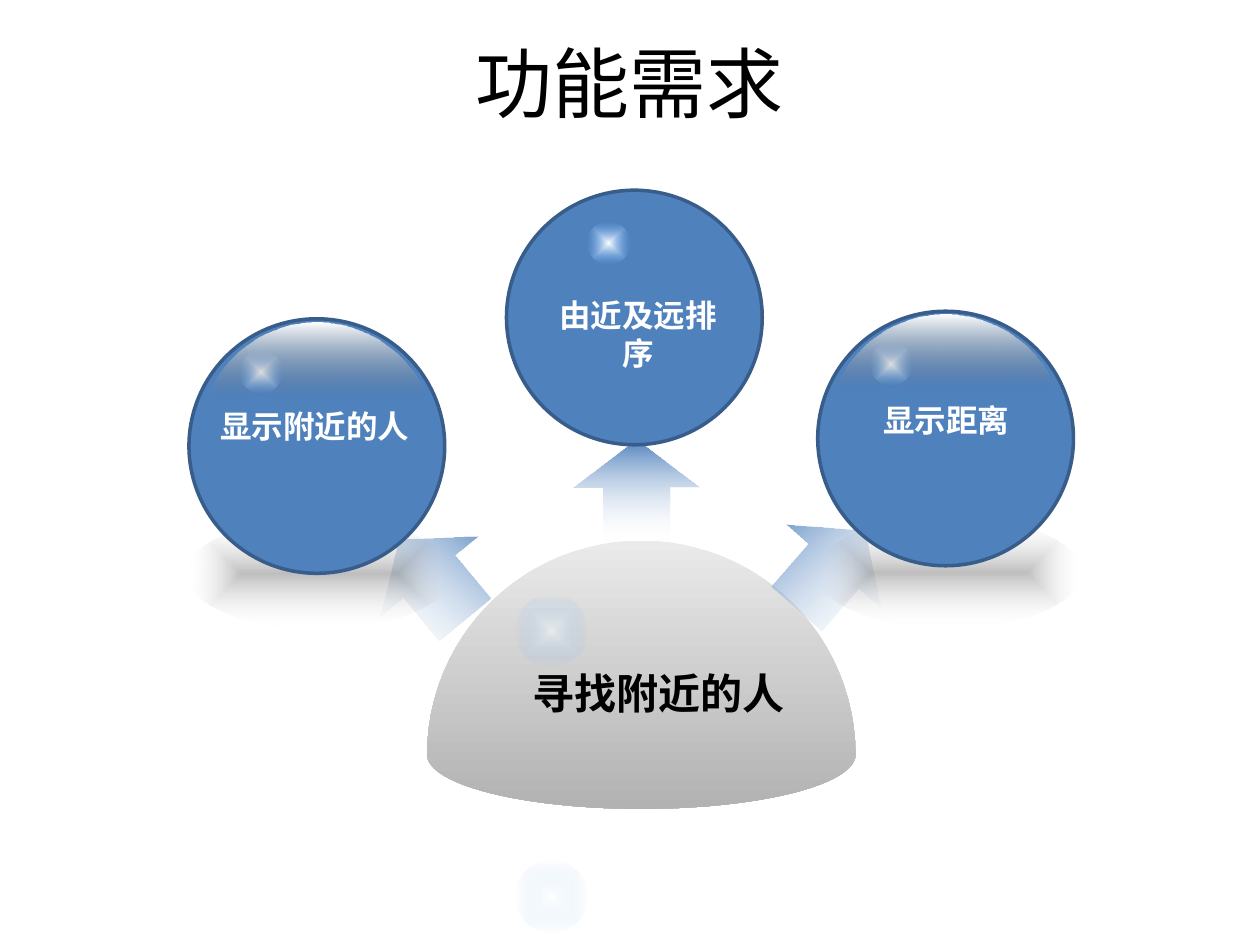
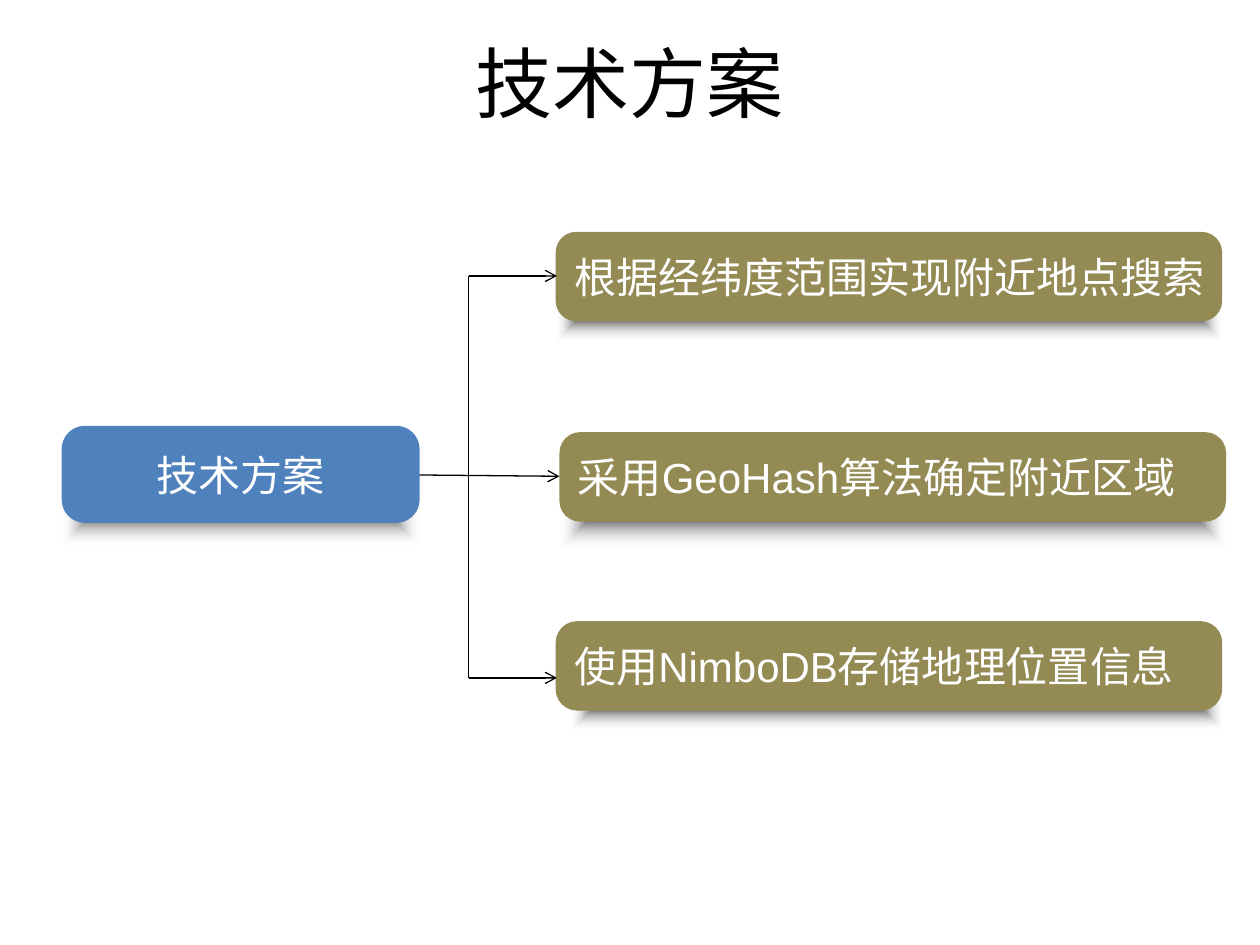
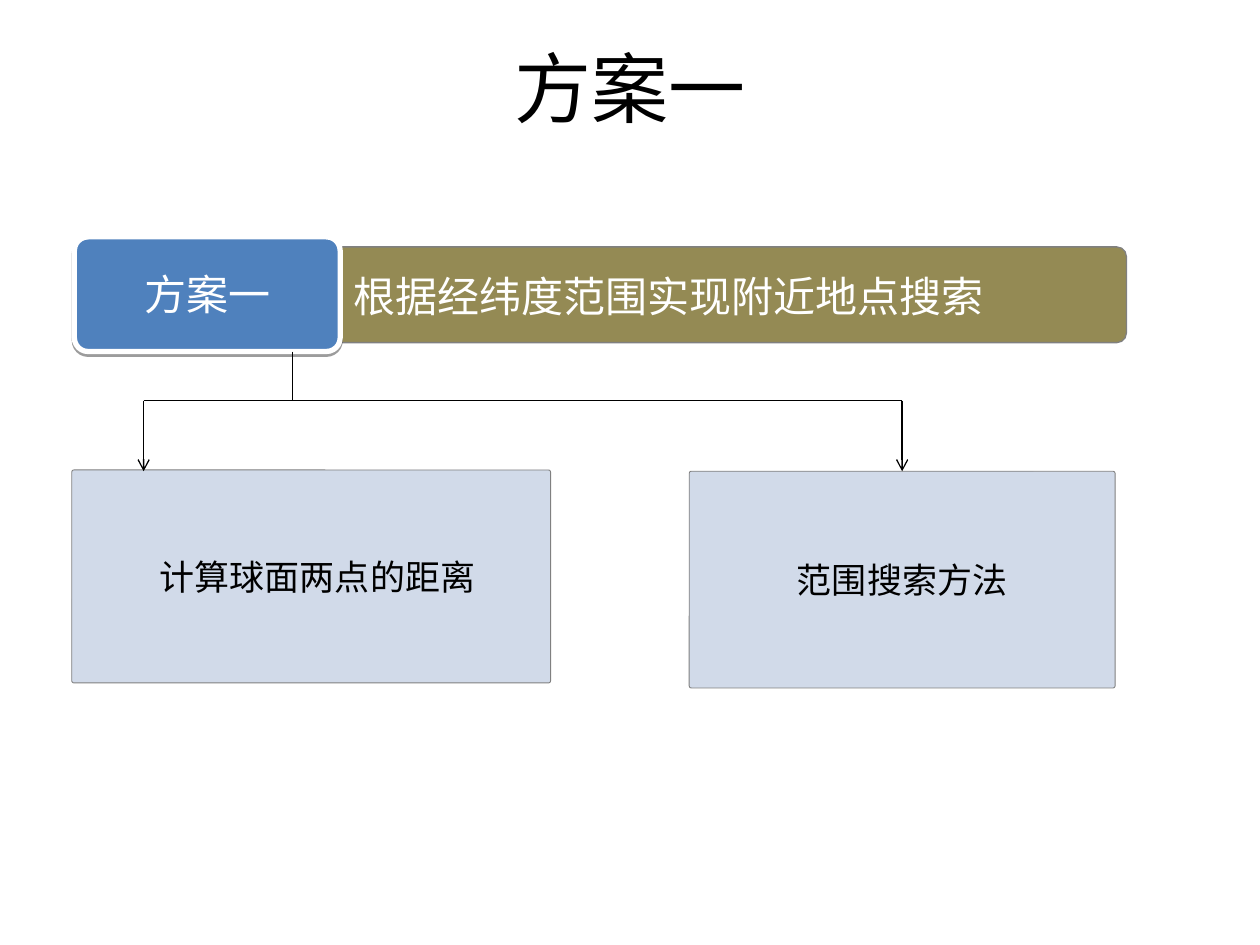
from dataclasses import dataclass
from math import asin, cos, pi, sin
from typing import NamedTuple, Optional, Union

from lxml import etree
from pptx import Presentation
from pptx.dml.color import RGBColor
from pptx.enum.shapes import MSO_CONNECTOR, MSO_SHAPE
from pptx.enum.text import MSO_ANCHOR, MSO_AUTO_SIZE, PP_ALIGN
from pptx.oxml import parse_xml
from pptx.oxml.ns import nsdecls, qn
from pptx.util import Inches, Pt

LEFT, MID = PP_ALIGN.LEFT, PP_ALIGN.CENTER
TOP, CENTER = MSO_ANCHOR.TOP, MSO_ANCHOR.MIDDLE
OVAL, RECT = MSO_SHAPE.OVAL, MSO_SHAPE.RECTANGLE
ROUND, ARROW = MSO_SHAPE.ROUNDED_RECTANGLE, MSO_SHAPE.UP_ARROW
LINE = MSO_CONNECTOR.STRAIGHT

HEX = {
    "black": "000000", "white": "FFFFFF", "blue": "4F81BD", "navy": "385D8A",
    "olive": "948A54", "pale": "D1DAE9", "gray": "808080", "glow": "67ABF5",
    "light": "EAEAEA", "steel": "B2B2B2", "dim": "767676",
}
CJK = "Noto Sans CJK SC"


class Box(NamedTuple):
    x: float
    y: float
    w: float
    h: float


class Grad(NamedTuple):
    """Two colours with opacity in percent; no angle means from the centre."""
    first: str
    near: int
    last: str
    far: int
    angle: Optional[int] = None


class Style(NamedTuple):
    size: int
    color: str
    font: str = CJK
    bold: bool = False
    align: PP_ALIGN = MID


class Edge(NamedTuple):
    color: str
    width: float


@dataclass
class Orb:
    x: float
    y: float
    text: str
    label: Box
    spark: float
    floor: Optional[Box] = None


@dataclass
class Card:
    box: Box
    text: str
    fill: str
    round: float
    align: PP_ALIGN
    shade: Box


SHADE = Grad("black", 85, "white", 0)
FLOOR = Grad("black", 25, "white", 0)
GLOSS = Grad("white", 100, "dim", 0, 90)
DOME = Grad("light", 100, "steel", 100, 90)
HEAD = Style(44, "black", "Arial")
ITEM = Style(24, "white", "Arial", align=LEFT)
ORB = Style(18, "white", bold=True)


def place(box: Box) -> list:
    return [Inches(v) for v in box]


def rgb(name: str) -> RGBColor:
    return RGBColor.from_string(HEX[name])


def blend(shape, grad: Grad) -> None:
    """Put a gradient where the shape's fill is."""
    stops = "".join(
        f'<a:gs pos="{pos}"><a:srgbClr val="{HEX[name]}">'
        f'<a:alpha val="{alpha * 1000}"/></a:srgbClr></a:gs>'
        for pos, name, alpha in ((0, grad.first, grad.near),
                                 (100000, grad.last, grad.far)))
    if grad.angle is None:
        way = ('<a:path path="rect"><a:fillToRect l="50000" t="50000" '
               'r="50000" b="50000"/></a:path>')
    else:
        way = f'<a:lin ang="{grad.angle * 60000}" scaled="0"/>'
    shape.fill.background()
    props = shape._element.spPr
    props.replace(props.find(qn("a:noFill")), parse_xml(
        f'<a:gradFill {nsdecls("a")} rotWithShape="1">'
        f'<a:gsLst>{stops}</a:gsLst>{way}</a:gradFill>'))


def paint(shape, fill: Union[str, Grad], edge: Optional[Edge] = None) -> None:
    shape.shadow.inherit = False
    if isinstance(fill, Grad):
        blend(shape, fill)
    else:
        shape.fill.solid()
        shape.fill.fore_color.rgb = rgb(fill)
    if edge:
        shape.line.color.rgb = rgb(edge.color)
        shape.line.width = Pt(edge.width)
    else:
        shape.line.fill.background()


def draw(slide, kind, box: Box, fill: Union[str, Grad],
         edge: Optional[Edge] = None, adj: tuple = ()):
    shape = slide.shapes.add_shape(kind, *place(box))
    for i, value in enumerate(adj):
        shape.adjustments[i] = value
    paint(shape, fill, edge)
    return shape


def write(shape, text: str, style: Style, anchor=CENTER,
          wrap: bool = False) -> None:
    frame = shape.text_frame
    frame.text = text
    frame.auto_size = MSO_AUTO_SIZE.NONE
    frame.word_wrap = wrap
    frame.vertical_anchor = anchor
    para = frame.paragraphs[0]
    para.alignment = style.align
    font = para.font
    font.size, font.bold, font.name = Pt(style.size), style.bold, style.font
    font.color.rgb = rgb(style.color)
    base = para._p.pPr.find(qn("a:defRPr"))
    etree.SubElement(base, qn("a:ea")).set("typeface", CJK)


def label(slide, box: Box, text: str, style: Style, anchor=TOP) -> None:
    write(slide.shapes.add_textbox(*place(box)), text, style, anchor, True)


def trace(slide, points: list, fill: Grad) -> None:
    """Fill the closed outline through the points."""
    path = [(Inches(x), Inches(y)) for x, y in points]
    pen = slide.shapes.build_freeform(*path[0])
    pen.add_line_segments(path[1:], close=True)
    paint(pen.convert_to_shape(), fill)


def arc(x: float, y: float, rx: float, ry: float, start: float,
        end: float, steps: int = 48) -> list:
    turns = [start + (end - start) * i / steps for i in range(steps + 1)]
    return [(x + rx * cos(t), y + ry * sin(t)) for t in turns]


def link(slide, x1: float, y1: float, x2: float, y2: float,
         tip: bool = False) -> None:
    line = slide.shapes.add_connector(
        LINE, Inches(x1), Inches(y1), Inches(x2), Inches(y2))
    line.line.color.rgb = rgb("black")
    line.line.width = Pt(0.75)
    props = line._element.spPr
    if tip:
        end = etree.SubElement(props.find(qn("a:ln")), qn("a:tailEnd"))
        end.set("type", "arrow")
    etree.SubElement(props, qn("a:effectLst"))


def start(deck, text: str, high: float = 0.69):
    slide = deck.slides.add_slide(deck.slide_layouts[5])
    title = slide.shapes.title
    title.left, title.top, title.width, title.height = place(
        Box(0.5, 0.3, 9, high))
    write(title, text, HEAD, wrap=True)
    return slide


def ball(slide, orb: Orb) -> None:
    wide, high = 2.03, 2.02
    if orb.floor:
        draw(slide, OVAL, orb.floor, FLOOR)
    draw(slide, OVAL, Box(orb.x, orb.y, wide, high), "blue", Edge("navy", 2))
    draw(slide, OVAL, Box(orb.x + orb.spark, orb.y + 0.25, 0.34, 0.34),
         Grad("white", 100, "glow", 0))
    label(slide, orb.label, orb.text, ORB)
    if orb.floor:
        radius, half = 0.94, 0.87
        reach = asin(half / radius)
        cap = arc(orb.x + wide / 2, orb.y + 0.03 + radius, radius, radius,
                  -pi / 2 - reach, -pi / 2 + reach)
        trace(slide, cap, GLOSS)


def needs(deck) -> None:
    slide = start(deck, "功能需求")
    spot = 0.57
    draw(slide, OVAL, Box(4.09, 6.83, spot, spot), Grad("white", 30, "glow", 0))
    x, y, r = 5.09, 5.99, 1.7
    trace(slide, arc(x, y, r, r, -pi, 0) + arc(x, y, r, 0.43, 0, pi), DOME)
    draw(slide, OVAL, Box(4.09, 4.72, spot, spot), Grad("white", 50, "glow", 0))
    for left, top, turn in ((4.55, 3.49, 0), (2.93, 4.19, -39.5),
                            (6.09, 4.11, 41.3)):
        fade = Grad("blue", 100, "white", 0, round(90 - 2 * turn))
        arrow = draw(slide, ARROW, Box(left, top, 1, 0.82), fade,
                     adj=(0.53, 0.46))
        arrow.rotation = turn
    label(slide, Box(3.51, 5.25, 3.43, 0.5), "寻找附近的人",
          Style(24, "black", bold=True))
    for orb in (
        Orb(4.02, 1.51, "由近及远排序", Box(4.24, 2.3, 1.65, 0.7), 0.64),
        Orb(1.5, 2.53, "显示附近的人", Box(1.6, 3.18, 1.8, 0.4), 0.4,
            Box(1.48, 4.12, 2.1, 0.87)),
        Orb(6.49, 2.47, "显示距离", Box(6.86, 3.13, 1.3, 0.4), 0.41,
            Box(6.48, 4.11, 2.1, 0.87)),
    ):
        ball(slide, orb)


def plans(deck) -> None:
    slide = start(deck, "技术方案")
    for card in (
        Card(Box(0.49, 3.38, 2.84, 0.77), "技术方案", "blue", 0.24, MID,
             Box(0.49, 3.8, 2.84, 0.53)),
        Card(Box(4.44, 3.43, 5.29, 0.71), "采用GeoHash算法确定附近区域",
             "olive", 0.23, LEFT, Box(4.44, 3.79, 5.29, 0.56)),
        Card(Box(4.41, 1.84, 5.29, 0.71), "根据经纬度范围实现附近地点搜索",
             "olive", 0.23, LEFT, Box(4.41, 2.29, 5.29, 0.42)),
        Card(Box(4.41, 4.93, 5.29, 0.71), "使用NimboDB存储地理位置信息",
             "olive", 0.24, LEFT, Box(4.53, 5.38, 5.18, 0.42)),
    ):
        draw(slide, RECT, card.shade, SHADE)
        shape = draw(slide, ROUND, card.box, card.fill, adj=(card.round,))
        write(shape, card.text, ITEM._replace(align=card.align))
    trunk, high, low = 3.72, 2.19, 5.38
    link(slide, trunk, high, trunk, low)
    link(slide, 3.33, 3.77, 4.44, 3.78, True)
    for y in (high, low):
        link(slide, trunk, y, 4.42, y, True)


def first(deck) -> None:
    slide = start(deck, "方案一", 0.77)
    for box, text, inset in (
        (Box(0.57, 3.73, 3.8, 1.69), "计算球面两点的距离", 0.2),
        (Box(5.47, 3.74, 3.38, 1.72), "范围搜索方法", 0.1),
    ):
        panel = draw(slide, ROUND, box, "pale", Edge("gray", 0.5), (0.01,))
        write(panel, text, Style(20, "black"))
        panel.text_frame.margin_left = Inches(inset)
    draw(slide, ROUND, Box(2.4, 1.96, 6.54, 0.76), "olive",
         Edge("gray", 0.75), (0.1,))
    tag = draw(slide, ROUND, Box(0.59, 1.88, 2.11, 0.91), "blue",
               Edge("white", 3), (0.12,))
    write(tag, "方案一", Style(24, "white", "Times New Roman"))
    tag._element.spPr.find(qn("a:effectLst")).append(parse_xml(
        f'<a:outerShdw {nsdecls("a")} blurRad="0" dist="{Pt(1.6)}" '
        f'dir="5400000" rotWithShape="0"><a:srgbClr val="{HEX["black"]}">'
        '<a:alpha val="38000"/></a:srgbClr></a:outerShdw>'))
    label(slide, Box(2.71, 2.04, 6.14, 0.62),
          "根据经纬度范围实现附近地点搜索", ITEM, CENTER)
    left, right, bar = 1.14, 7.16, 3.18
    link(slide, left, bar, right, bar)
    link(slide, 2.32, 2.79, 2.32, bar)
    for x in (left, right):
        link(slide, x, bar, x, 3.74, True)


def main() -> None:
    deck = Presentation()
    deck.slide_width, deck.slide_height = Inches(10), Inches(7.5)
    for build in (needs, plans, first):
        build(deck)
    deck.save("out.pptx")


if __name__ == "__main__":
    main()
